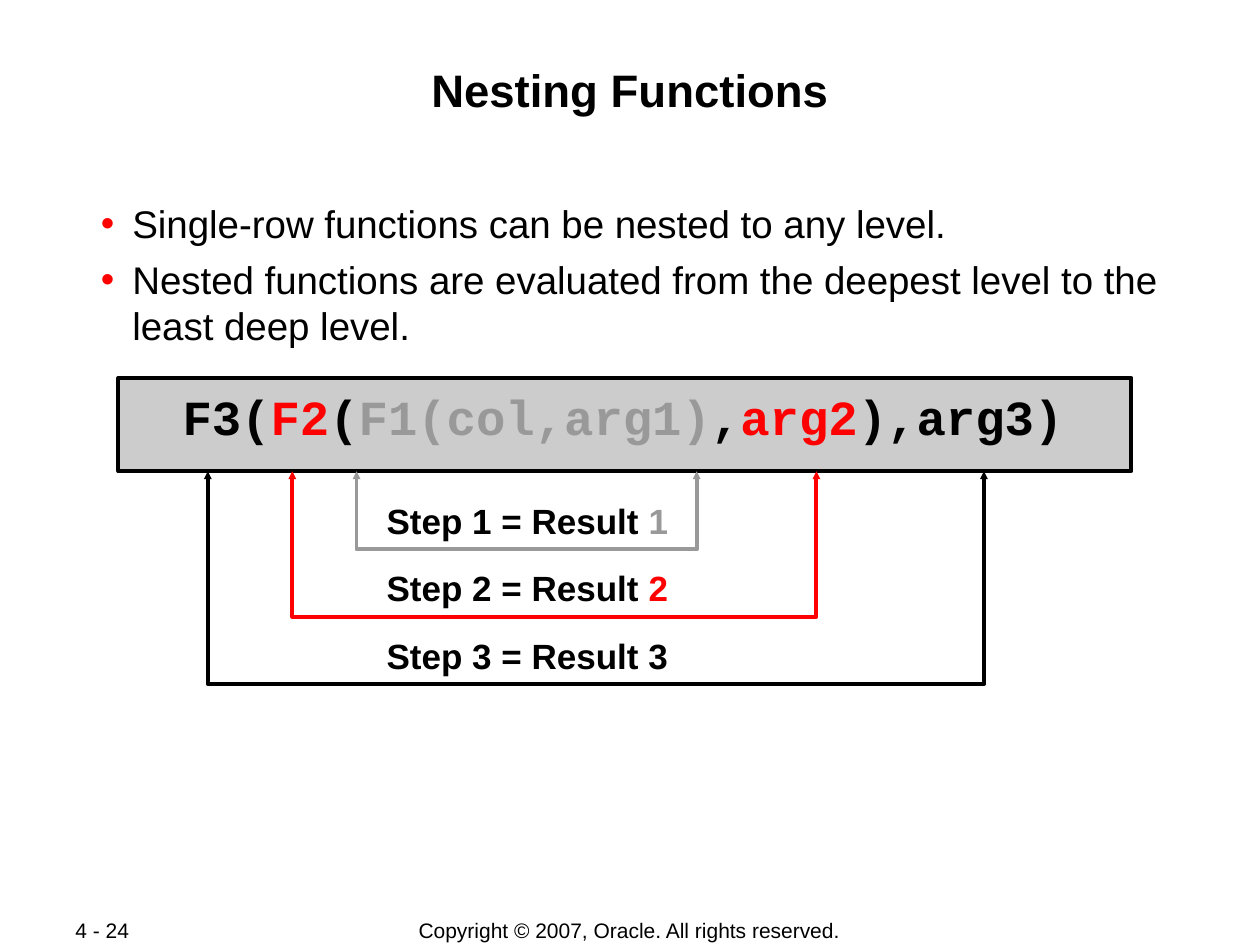
from lxml.etree import SubElement
from pptx import Presentation
from pptx.dml.color import RGBColor
from pptx.enum.shapes import MSO_SHAPE
from pptx.enum.text import MSO_ANCHOR, MSO_AUTO_SIZE, PP_ALIGN
from pptx.oxml.ns import qn
from pptx.util import Inches, Pt

BLACK, RED, GREY, PANEL = "000000", "FF0000", "999999", "CCCCCC"
COLUMNS, ROWS = 100, 75


def color(value):
    return RGBColor.from_string(value)


def add_text(paragraph, text, size=20, font="Arial", fill=BLACK, bold=False):
    run = paragraph.add_run()
    run.text = text
    run.font.size = Pt(size)
    run.font.name = font
    run.font.bold = bold
    run.font.color.rgb = color(fill)


class SlideBuilder:
    line_width = Pt(2.25)

    def __init__(self, presentation):
        self.slide = presentation.slides.add_slide(presentation.slide_layouts[1])
        self.column = presentation.slide_width / COLUMNS
        self.row = presentation.slide_height / ROWS

    def area(self, left, top, width, height):
        return (round(left * self.column), round(top * self.row),
                round(width * self.column), round(height * self.row))

    def placeholder(self, shape, *area):
        shape.left, shape.top, shape.width, shape.height = self.area(*area)
        frame = shape.text_frame
        frame.margin_left = frame.margin_right = Inches(0.01)
        frame.margin_top = frame.margin_bottom = Inches(0.01)
        frame.vertical_anchor = MSO_ANCHOR.TOP
        frame.auto_size = MSO_AUTO_SIZE.NONE
        return frame

    def title(self, text, *area):
        paragraph = self.placeholder(self.slide.shapes.title, *area).paragraphs[0]
        paragraph.alignment = PP_ALIGN.CENTER
        add_text(paragraph, text, size=26, bold=True)

    def bullets(self, items, *area):
        frame = self.placeholder(self.slide.placeholders[1], *area)
        for index, item in enumerate(items):
            paragraph = frame.add_paragraph() if index else frame.paragraphs[0]
            properties = paragraph._p.get_or_add_pPr()
            properties.set("marL", str(Inches(0.37)))
            properties.set("indent", str(-Inches(0.25)))
            bullet_color = SubElement(properties, qn("a:buClr"))
            SubElement(bullet_color, qn("a:srgbClr"), val=RED)
            SubElement(properties, qn("a:buFont"), typeface="Arial")
            SubElement(properties, qn("a:buChar"), char="•")
            paragraph.space_before = Pt(5.5 if index else 0)
            add_text(paragraph, item, size=22)

    def text_box(self, runs, *area, align=PP_ALIGN.LEFT, anchor=MSO_ANCHOR.TOP,
                 spacing=None, **style):
        frame = self.slide.shapes.add_textbox(*self.area(*area)).text_frame
        frame.word_wrap = False
        frame.vertical_anchor = anchor
        paragraph = frame.paragraphs[0]
        paragraph.alignment = align
        paragraph.line_spacing = spacing
        for text, fill in runs:
            add_text(paragraph, text, fill=fill, **style)

    def panel(self, *area):
        shape = self.slide.shapes.add_shape(MSO_SHAPE.RECTANGLE, *self.area(*area))
        shape.shadow.inherit = False
        shape.fill.solid()
        shape.fill.fore_color.rgb = color(PANEL)
        shape.line.color.rgb = color(BLACK)
        shape.line.width = self.line_width

    def bracket(self, left, right, top, bottom, fill):
        corners = [(left, top), (left, bottom), (right, bottom), (right, top)]
        points = [(round(x * self.column), round(y * self.row)) for x, y in corners]
        builder = self.slide.shapes.build_freeform(*points[0], scale=1.0)
        builder.add_line_segments(points[1:], close=False)
        shape = builder.convert_to_shape()
        shape.shadow.inherit = False
        shape.fill.background()
        shape.line.color.rgb = color(fill)
        shape.line.width = self.line_width
        line = shape.line._get_or_add_ln()
        SubElement(line, qn("a:round"))
        for end in ("a:headEnd", "a:tailEnd"):
            SubElement(line, qn(end), type="triangle", w="sm", len="sm")


def main():
    presentation = Presentation()
    presentation.slide_width, presentation.slide_height = Inches(10), Inches(7.5)
    builder = SlideBuilder(presentation)

    # Title and list
    builder.title("Nesting Functions", 6.7, 4.8, 86.6, 9.6)
    builder.bullets([
        "Single-row functions can be nested to any level.",
        "Nested functions are evaluated from the deepest level to the least deep level.",
    ], 6.7, 15.8, 86.6, 12)

    # Nested call
    builder.panel(9.4, 30, 80.4, 7.4)
    call = [("F3(", BLACK), ("F2", RED), ("(", BLACK), ("F1(col,arg1)", GREY),
            (",", BLACK), ("arg2", RED), ("),arg3)", BLACK)]
    builder.text_box(call, 13.5, 31.8, 71.9, 4.1, spacing=Pt(22),
                     size=28, font="Courier New", bold=True)

    # Evaluation steps, from the innermost bracket outwards
    brackets = [(28.3, 55.3, GREY), (23.2, 64.8, RED), (16.5, 78.1, BLACK)]
    for index, (left, right, fill) in enumerate(brackets):
        step = index + 1
        bottom = 43.6 + 5.35 * index
        builder.bracket(left, right, 37.4, bottom, fill)
        builder.text_box([(f"Step {step} = Result ", BLACK), (str(step), fill)],
                         29.7, bottom - 4.45, 24.4, 4.3, bold=True)

    # Footer
    builder.text_box([("4 - 24", BLACK)], 5, 72.8, 10.6, 2,
                     anchor=MSO_ANCHOR.MIDDLE, align=PP_ALIGN.JUSTIFY, size=12)
    builder.text_box([("Copyright © 2007, Oracle. All rights reserved.", BLACK)],
                     27.5, 72.8, 44.9, 2.1, anchor=MSO_ANCHOR.MIDDLE,
                     align=PP_ALIGN.CENTER, size=12)

    presentation.save("out.pptx")


if __name__ == "__main__":
    main()
